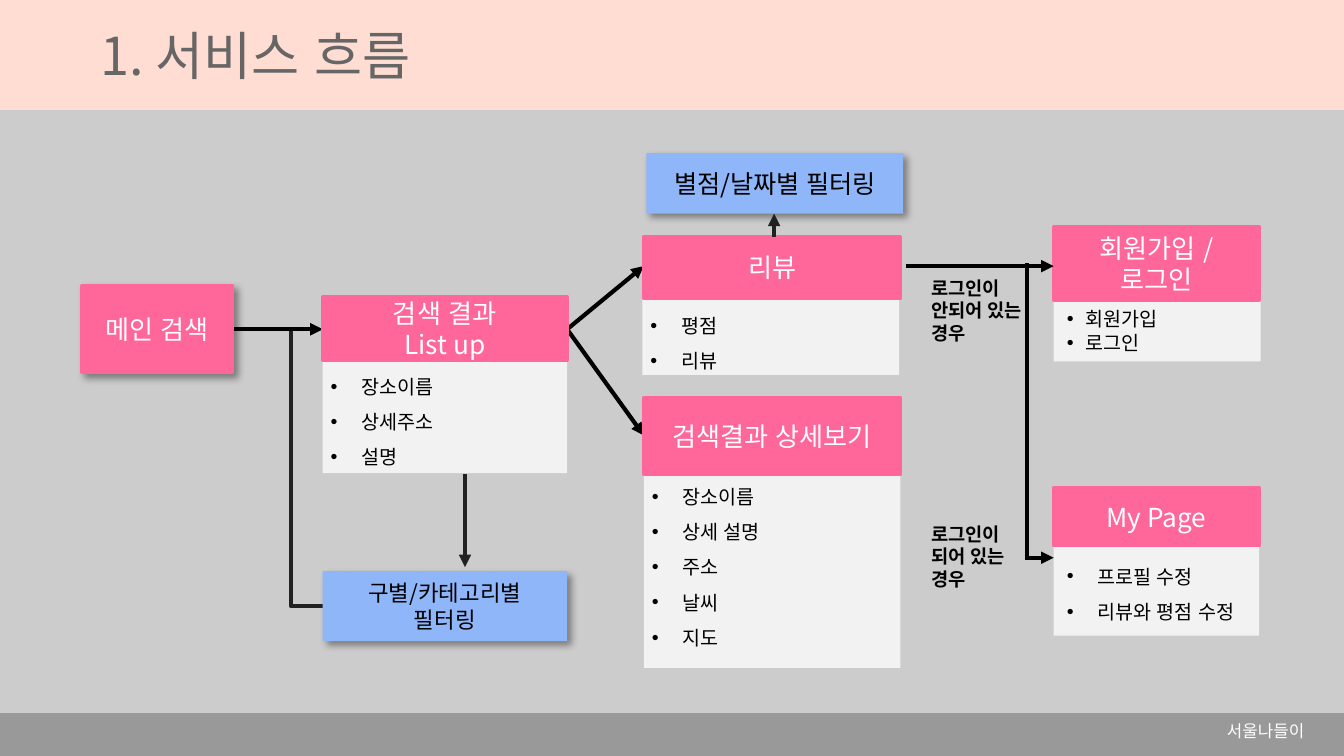
from dataclasses import dataclass
from typing import Optional

from lxml import etree
from pptx import Presentation
from pptx import util as u
from pptx.dml.color import RGBColor
from pptx.enum import lang, shapes, text
from pptx.oxml import parse_xml
from pptx.oxml.ns import nsdecls, qn

FONT = "Noto Sans CJK KR"
BLACK = RGBColor(0, 0, 0)
WHITE = RGBColor(0xFF, 0xFF, 0xFF)
CHARCOAL = RGBColor(0x21, 0x21, 0x21)
TITLE_GRAY = RGBColor(0x66, 0x66, 0x66)
FOOTER_GRAY = RGBColor(0x99, 0x99, 0x99)
BACKGROUND = RGBColor(0xCC, 0xCC, 0xCC)
PEACH = RGBColor(0xFF, 0xDD, 0xD2)
PINK = RGBColor(0xFF, 0x66, 0x99)
BLUE = RGBColor(0x8E, 0xB6, 0xF8)
PALE = RGBColor(0xF2, 0xF2, 0xF2)

# The slide is a grid of square cells, 100 columns by 56.25 rows.
CELL = u.Inches(0.1)
COLUMNS, ROWS = 100, 56.25
PLAIN_INSETS = (1, 0.5, 1, 0.5)
WIDE_INSETS = (1, 1, 1, 1)
LIST_INSETS = (0.6, 1.2, 0.6, 0.5)
MIDDLE, TOP = text.MSO_ANCHOR.MIDDLE, text.MSO_ANCHOR.TOP
SHADOW = (
    f'<a:effectLst {nsdecls("a")}><a:outerShdw blurRad="50800" dist="38100" dir="2700000" '
    'algn="tl" rotWithShape="0"><a:srgbClr val="000000"><a:alpha val="40000"/></a:srgbClr>'
    "</a:outerShdw></a:effectLst>"
)


def cells(*counts: float) -> list[int]:
    return [u.Emu(round(count * CELL)) for count in counts]


@dataclass
class Area:
    column: float
    row: float
    columns: float
    rows: float

    def lengths(self) -> list[int]:
        return cells(self.column, self.row, self.columns, self.rows)


@dataclass
class Style:
    size: float
    color: RGBColor
    bold: bool = False
    align: Optional[text.PP_ALIGN] = None
    anchor: text.MSO_ANCHOR = MIDDLE
    insets: tuple = PLAIN_INSETS
    bullet_indent: float = 0
    left_margin: float = 0
    line_spacing: Optional[float] = None


@dataclass
class Box:
    area: Area
    lines: list[str]
    fill: RGBColor
    size: float = 14
    color: RGBColor = BLACK
    outline: Optional[RGBColor] = None


@dataclass
class Card:
    header: Area
    title: list[str]
    body: Area
    items: list[str]
    anchor: text.MSO_ANCHOR = MIDDLE
    insets: tuple = PLAIN_INSETS
    indent: float = 2.3
    spacing: Optional[float] = 1.5


@dataclass
class Line:
    start: tuple[float, float]
    end: tuple[float, float]
    color: RGBColor = BLACK
    arrow: bool = True


def write(shape, lines: list[str], style: Style) -> None:
    frame = shape.text_frame
    left, top, right, bottom = cells(*style.insets)
    frame_format = dict(word_wrap=True, vertical_anchor=style.anchor, margin_left=left,
                        margin_top=top, margin_right=right, margin_bottom=bottom)
    for name, value in frame_format.items():
        setattr(frame, name, value)
    font_format = dict(name=FONT, size=u.Pt(style.size), bold=style.bold,
                       language_id=lang.MSO_LANGUAGE_ID.KOREAN)
    for index, line in enumerate(lines):
        paragraph = frame.paragraphs[0] if index == 0 else frame.add_paragraph()
        properties = paragraph._p.get_or_add_pPr()
        if style.left_margin:
            properties.set("marL", str(cells(style.left_margin)[0]))
        if style.bullet_indent:
            indent = cells(style.bullet_indent)[0]
            properties.set("marL", str(indent))
            properties.set("indent", str(-indent))
            color = etree.SubElement(properties, qn("a:buClr"))
            etree.SubElement(color, qn("a:srgbClr"), val=str(style.color))
            etree.SubElement(properties, qn("a:buFont"), typeface="Arial")
            etree.SubElement(properties, qn("a:buChar"), char="•")
        paragraph.alignment = style.align
        paragraph.line_spacing = style.line_spacing
        run = paragraph.add_run()
        run.text = line
        for name, value in font_format.items():
            setattr(run.font, name, value)
        run.font.color.rgb = style.color
        etree.SubElement(run._r.get_or_add_rPr(), qn("a:ea"), typeface=FONT)


def add_block(slide, area: Area, fill: RGBColor, outline: Optional[RGBColor] = None,
              width: float = 2):
    shape = slide.shapes.add_shape(shapes.MSO_SHAPE.RECTANGLE, *area.lengths())
    shape.shadow.inherit = False
    shape.fill.solid()
    shape.fill.fore_color.rgb = fill
    if outline is None:
        shape.line.fill.background()
    else:
        shape.line.color.rgb = outline
        shape.line.width = u.Pt(width)
    return shape


def add_box(slide, box: Box) -> None:
    """Draw a step of the flow with a soft shadow."""
    shape = add_block(slide, box.area, box.fill, box.outline)
    properties = shape._element.spPr
    properties.replace(properties.find(qn("a:effectLst")), parse_xml(SHADOW))
    write(shape, box.lines, Style(box.size, box.color, align=text.PP_ALIGN.CENTER))


def add_card(slide, card: Card) -> None:
    """Draw a bulleted body with its pink header on top."""
    write(add_block(slide, card.body, PALE), card.items,
          Style(10.5, BLACK, align=text.PP_ALIGN.LEFT, anchor=card.anchor, insets=card.insets,
                bullet_indent=card.indent, line_spacing=card.spacing))
    write(add_block(slide, card.header, PINK, PINK), card.title,
          Style(14, WHITE, align=text.PP_ALIGN.CENTER))


def add_label(slide, area: Area, lines: list[str], style: Style) -> None:
    label = slide.shapes.add_textbox(*area.lengths())
    write(label, lines, style)
    label.text_frame.auto_size = text.MSO_AUTO_SIZE.SHAPE_TO_FIT_TEXT


def add_line(slide, line: Line, kind=shapes.MSO_CONNECTOR.STRAIGHT):
    connector = slide.shapes.add_connector(kind, *cells(*line.start, *line.end))
    connector.line.color.rgb = line.color
    connector.line.width = u.Pt(2.25)
    if line.arrow:
        etree.SubElement(connector.line._get_or_add_ln(), qn("a:tailEnd"), type="triangle")
    etree.SubElement(connector._element.spPr, qn("a:effectLst"))
    return connector


def add_return_line(slide) -> None:
    """Lead from the filter box out to the left and back up to the search results."""
    connector = add_line(slide, Line((24, 24.5), (24.1, 45.1), CHARCOAL),
                         shapes.MSO_CONNECTOR.ELBOW)
    properties = connector._element.spPr
    properties.find(qn("a:xfrm")).set("rot", "10800000")
    adjustments = properties.find(qn("a:prstGeom")).find(qn("a:avLst"))
    etree.SubElement(adjustments, qn("a:gd"), name="adj1", fmla="val 2500000")


BRANCHES = [Line((42.2, 24.5), (47.9, 19.8)), Line((42.2, 24.5), (47.9, 32.4)),
            Line((17.3, 24.5), (24, 24.5))]
LINKS = [
    Line((34.6, 35.3), (34.6, 42.2), CHARCOAL),
    Line((57.6, 17.6), (57.6, 15.9), CHARCOAL),
    Line((67.4, 19.8), (78.4, 19.8)),
    Line((76.4, 19.6), (76.4, 41.5), arrow=False),
    Line((76.3, 41.5), (78.4, 41.5)),
]
BOXES = [
    Box(Area(6.1, 21.3, 11.2, 6.4), ["메인 검색"], PINK, color=WHITE, outline=PINK),
    Box(Area(24, 42.5, 18.2, 5.2), ["구별/카테고리별", "필터링"], BLUE, 12),
    Box(Area(48.1, 11.4, 19.1, 4.5), ["별점/날짜별 필터링"], BLUE, 13.5),
]
CARDS = [
    Card(Area(78.4, 36.3, 15.3, 4.3), ["My Page"],
         Area(78.4, 40.2, 15.3, 7.1), ["프로필 수정", "리뷰와 평점 수정"]),
    Card(Area(78.4, 16.9, 15.3, 5.4), ["회원가입 /", "로그인"],
         Area(78.4, 22.3, 15.4, 4.6), ["회원가입", "로그인"], indent=1.4, spacing=None),
    Card(Area(24, 22.1, 18.2, 4.7), ["검색 결과", "List up"],
         Area(24, 26, 18.2, 9.2), ["장소이름", "상세주소", "설명"], insets=LIST_INSETS),
    Card(Area(47.9, 17.6, 19.1, 4.6), ["리뷰"],
         Area(47.8, 21.3, 19.1, 6.6), ["평점", "리뷰"], TOP, LIST_INSETS),
    Card(Area(47.9, 29.6, 19.1, 5.7), ["검색결과 상세보기"],
         Area(47.9, 34, 19.1, 15.7), ["장소이름", "상세 설명", "주소", "날씨", "지도"],
         TOP, LIST_INSETS),
]
CONDITIONS = {20.1: "안되어 있는", 38.4: "되어 있는"}


def main() -> None:
    presentation = Presentation()
    presentation.slide_width, presentation.slide_height = cells(COLUMNS, ROWS)
    slide = presentation.slides.add_slide(presentation.slide_layouts[6])
    slide.background.fill.solid()
    slide.background.fill.fore_color.rgb = BACKGROUND

    add_block(slide, Area(0, 0, COLUMNS, 8.15), PEACH, PEACH, 0.75)
    add_block(slide, Area(0, 53.1, COLUMNS, ROWS - 53.1), FOOTER_GRAY, FOOTER_GRAY, 0.75)
    add_label(slide, Area(5.9, 0.7, 41.5, 6.7), ["1. 서비스 흐름"],
              Style(28, TITLE_GRAY, anchor=TOP, insets=WIDE_INSETS, left_margin=0.6))
    add_label(slide, Area(90.3, 52.9, 8.9, 3.5), ["서울나들이"],
              Style(9, WHITE, anchor=TOP, insets=WIDE_INSETS))

    add_return_line(slide)
    for line in BRANCHES:
        add_line(slide, line)
    for box in BOXES:
        add_box(slide, box)
    for card in CARDS:
        add_card(slide, card)
    for row, state in CONDITIONS.items():
        add_label(slide, Area(68.3, row, 8.9, 6.1), ["로그인이", state, "경우"],
                  Style(10, BLACK, bold=True, anchor=TOP))
    for line in LINKS:
        add_line(slide, line)
    presentation.save("out.pptx")


if __name__ == "__main__":
    main()
